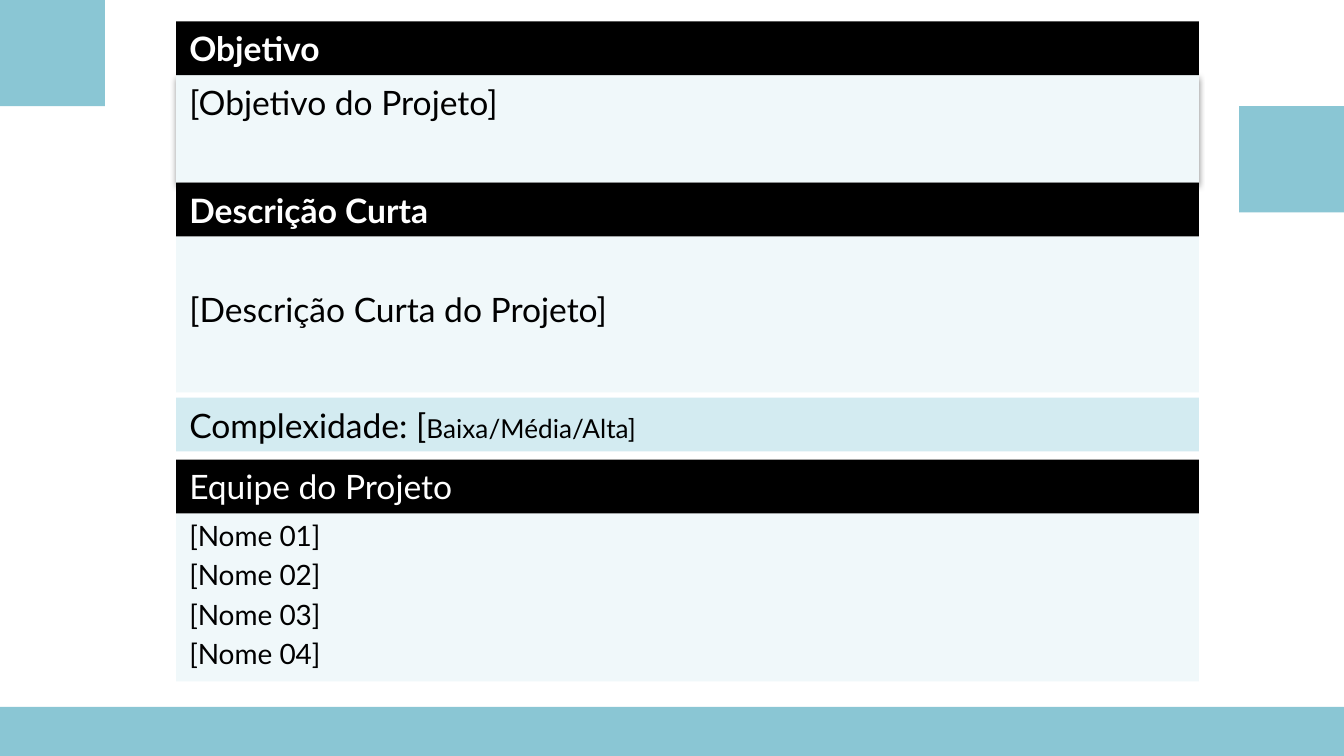
from dataclasses import dataclass

from lxml import etree
from pptx import Presentation
from pptx.dml.color import RGBColor
from pptx.enum.shapes import MSO_SHAPE
from pptx.enum.text import MSO_ANCHOR, PP_ALIGN
from pptx.util import Inches, Pt


@dataclass(frozen=True)
class Theme:
    accent: str = "8AC6D4"
    panel: str = "F0F8FA"
    band: str = "D3EBF1"
    dark: str = "000000"
    light: str = "FFFFFF"
    font: str = "Lato"
    body: int = 18
    names: int = 15
    options: int = 14


theme = Theme()
LEFT, WIDTH, BAR_HEIGHT = 1.31, 7.61, 0.4
DRAWING_NS = "http://schemas.openxmlformats.org/drawingml/2006/main"
SOFT_SHADOW = f"""<a:effectLst xmlns:a="{DRAWING_NS}">
  <a:outerShdw blurRad="39370" dist="20320" dir="5400000" rotWithShape="0">
    <a:srgbClr val="000000"><a:alpha val="38000"/></a:srgbClr>
  </a:outerShdw>
</a:effectLst>"""

prs = Presentation()
prs.slide_width, prs.slide_height = Inches(10), Inches(10 * 9 / 16)
slide = prs.slides.add_slide(prs.slide_layouts[6])


def add_block(left, top, width, height, fill):
    block = slide.shapes.add_shape(
        MSO_SHAPE.RECTANGLE, Inches(left), Inches(top), Inches(width), Inches(height))
    block.shadow.inherit = False
    block.fill.solid()
    block.fill.fore_color.rgb = RGBColor.from_string(fill)
    block.line.fill.background()
    return block


def write_lines(block, lines, color, size, anchor=MSO_ANCHOR.MIDDLE, inset=0.05, bold=False):
    """Write one left-aligned paragraph per line, spaced by a fifth of the size."""
    frame = block.text_frame
    frame.word_wrap = True
    frame.vertical_anchor = anchor
    frame.margin_top = Inches(inset)
    frame.text = "\n".join(lines)
    for index, paragraph in enumerate(frame.paragraphs):
        paragraph.alignment = PP_ALIGN.LEFT
        paragraph.space_before = Pt(size * 0.2 if index else 0)
        for run in paragraph.runs:
            run.font.name = theme.font
            run.font.size = Pt(size)
            run.font.bold = bold
            run.font.color.rgb = RGBColor.from_string(color)


# Corner squares and footer
for left, top, width, height in [(0, 0, 0.78, 0.79), (9.22, 0.79, 0.78, 0.79),
                                 (0, 5.26, 10, 0.39)]:
    add_block(left, top, width, height, theme.accent)

# Each section: heading, bold, top, panel height, lines, size, top inset, raised
sections = [
    ("Objetivo", True, 0.16, 0.8, ["[Objetivo do Projeto]"], theme.body, 0.05, True),
    ("Descrição Curta", True, 1.36, 1.16, ["[Descrição Curta do Projeto]"],
     theme.body, 0.39, False),
    ("Equipe do Projeto", False, 3.42, 1.25,
     [f"[Nome {number:02}]" for number in range(1, 5)], theme.names, 0.04, False),
]
for heading, bold, top, panel_height, lines, size, inset, raised in sections:
    panel = add_block(LEFT, top + BAR_HEIGHT, WIDTH, panel_height, theme.panel)
    write_lines(panel, lines, theme.dark, size, MSO_ANCHOR.TOP, inset)
    if raised:
        properties = panel._element.spPr
        properties.remove(properties.find(f"{{{DRAWING_NS}}}effectLst"))
        properties.append(etree.fromstring(SOFT_SHADOW))
    heading_bar = add_block(LEFT, top, WIDTH, BAR_HEIGHT, theme.dark)
    write_lines(heading_bar, [heading], theme.light, theme.body, bold=bold)

# Complexity band, with its options in smaller type
complexity = add_block(LEFT, 2.96, WIDTH, BAR_HEIGHT, theme.band)
write_lines(complexity, ["Complexidade: ["], theme.dark, theme.body)
options = complexity.text_frame.paragraphs[0].add_run()
options.text = "Baixa/Média/Alta]"
options.font.name = theme.font
options.font.size = Pt(theme.options)
options.font.color.rgb = RGBColor.from_string(theme.dark)

prs.save("out.pptx")
